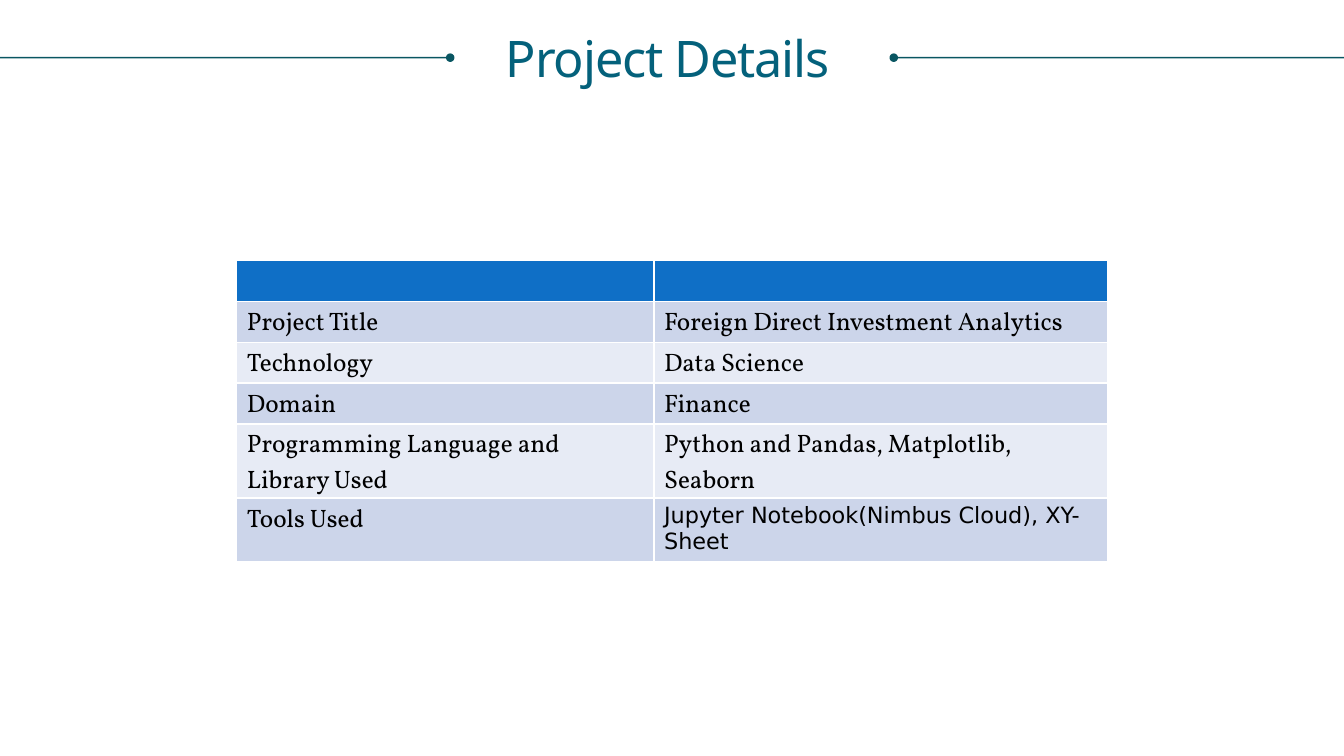
from dataclasses import dataclass
from math import asin, cos, pi, sin

from lxml.etree import SubElement
from pptx import Presentation
from pptx.dml.color import RGBColor
from pptx.enum.text import MSO_ANCHOR, MSO_AUTO_SIZE, PP_ALIGN
from pptx.oxml.ns import qn
from pptx.util import Pt

TITLE_TEAL = RGBColor(0x04, 0x61, 0x7B)
RULE_TEAL = RGBColor(0x09, 0x56, 0x62)
HEADER_BLUE = RGBColor(0x0F, 0x6F, 0xC6)
BAND_DARK = RGBColor(0xCC, 0xD5, 0xEA)
BAND_LIGHT = RGBColor(0xE7, 0xEB, 0xF5)
WHITE = RGBColor(0xFF, 0xFF, 0xFF)
BLACK = RGBColor(0, 0, 0)

SLIDE_WIDTH, SLIDE_HEIGHT = 960, 540
RULE_Y, DOT_RADIUS, RULE_HALF_THICKNESS = 41.2, 3, 0.6
COLUMN_WIDTHS = (298, 324)
ROW_HEIGHTS = (29.2, 29.2, 29.2, 29.2, 53, 45.4)


@dataclass(frozen=True)
class Rule:
    edge_x: float
    dot_x: float


@dataclass(frozen=True)
class Entry:
    text: str
    font: str = "Vollkorn"
    size: float = 18


RULES = (Rule(0, 321.6), Rule(SLIDE_WIDTH, SLIDE_WIDTH - 321.6))
DETAILS = (
    (Entry("Project Title"), Entry("Foreign Direct Investment Analytics")),
    (Entry("Technology"), Entry("Data Science")),
    (Entry("Domain"), Entry("Finance")),
    (Entry("Programming Language and Library Used"),
     Entry("Python and Pandas, Matplotlib, Seaborn")),
    (Entry("Tools Used"),
     Entry("Jupyter Notebook(Nimbus Cloud), XY-Sheet", "DejaVu Sans", 16)),
)


def add_rule(slide, rule: Rule) -> None:
    """Draw a thin bar from the slide edge that ends in a round dot."""
    toward_dot = 1 if rule.dot_x > rule.edge_x else -1
    joint = pi - asin(RULE_HALF_THICKNESS / DOT_RADIUS)
    steps = 24
    angles = [joint * (1 - 2 * step / steps) for step in range(steps + 1)]
    points = [
        (Pt(rule.dot_x + toward_dot * DOT_RADIUS * cos(angle)),
         Pt(RULE_Y + DOT_RADIUS * sin(angle)))
        for angle in angles
    ]
    points.append((Pt(rule.edge_x), Pt(RULE_Y - RULE_HALF_THICKNESS)))
    builder = slide.shapes.build_freeform(
        Pt(rule.edge_x), Pt(RULE_Y + RULE_HALF_THICKNESS))
    builder.add_line_segments(points, close=True)
    shape = builder.convert_to_shape()
    shape.shadow.inherit = False
    shape.fill.solid()
    shape.fill.fore_color.rgb = RULE_TEAL
    shape.line.fill.background()


def add_span(para, text: str, font: str, size: float, color: RGBColor):
    span = para.add_run()
    span.text = text
    span.font.name = font
    span.font.size = Pt(size)
    span.font.color.rgb = color
    return span


def set_title(slide) -> None:
    box = slide.shapes.title
    box.left, box.top, box.width, box.height = Pt(361.2), Pt(18), Pt(246), Pt(44.6)
    frame = box.text_frame
    frame.margin_left = frame.margin_right = frame.margin_bottom = 0
    frame.margin_top = Pt(0.9)
    frame.vertical_anchor = MSO_ANCHOR.BOTTOM
    frame.auto_size = MSO_AUTO_SIZE.SHAPE_TO_FIT_TEXT
    para = frame.paragraphs[0]
    para.alignment = PP_ALIGN.LEFT
    para.space_before = Pt(0.9)
    span = add_span(para, "Project Details", "Noto Sans", 36, TITLE_TEAL)
    span.font._element.set("spc", "-80")


def style_cell(cell, color: RGBColor) -> None:
    """Give a cell white borders and a plain fill."""
    properties = cell._tc.get_or_add_tcPr()
    for side in ("a:lnL", "a:lnR", "a:lnT", "a:lnB"):
        line = SubElement(properties, qn(side), w=str(Pt(1)))
        fill = SubElement(line, qn("a:solidFill"))
        SubElement(fill, qn("a:srgbClr"), val=str(WHITE))
    cell.fill.solid()
    cell.fill.fore_color.rgb = color


def add_details_table(slide) -> None:
    table = slide.shapes.add_table(
        len(ROW_HEIGHTS), len(COLUMN_WIDTHS), Pt(169.2), Pt(186),
        Pt(sum(COLUMN_WIDTHS)), Pt(sum(ROW_HEIGHTS))).table
    for column, width in zip(table.columns, COLUMN_WIDTHS):
        column.width = Pt(width)
    for row, height in zip(table.rows, ROW_HEIGHTS):
        row.height = Pt(height)
    for cell in table.rows[0].cells:
        style_cell(cell, HEADER_BLUE)
    for row_index, entries in enumerate(DETAILS, start=1):
        for cell, entry in zip(table.rows[row_index].cells, entries):
            style_cell(cell, BAND_DARK if row_index % 2 else BAND_LIGHT)
            add_span(cell.text_frame.paragraphs[0], entry.text,
                     entry.font, entry.size, BLACK)


def main() -> None:
    deck = Presentation()
    deck.slide_width, deck.slide_height = Pt(SLIDE_WIDTH), Pt(SLIDE_HEIGHT)
    page = deck.slides.add_slide(deck.slide_layouts.get_by_name("Title Only"))
    set_title(page)
    for rule in RULES:
        add_rule(page, rule)
    add_details_table(page)
    deck.save("out.pptx")


if __name__ == "__main__":
    main()
